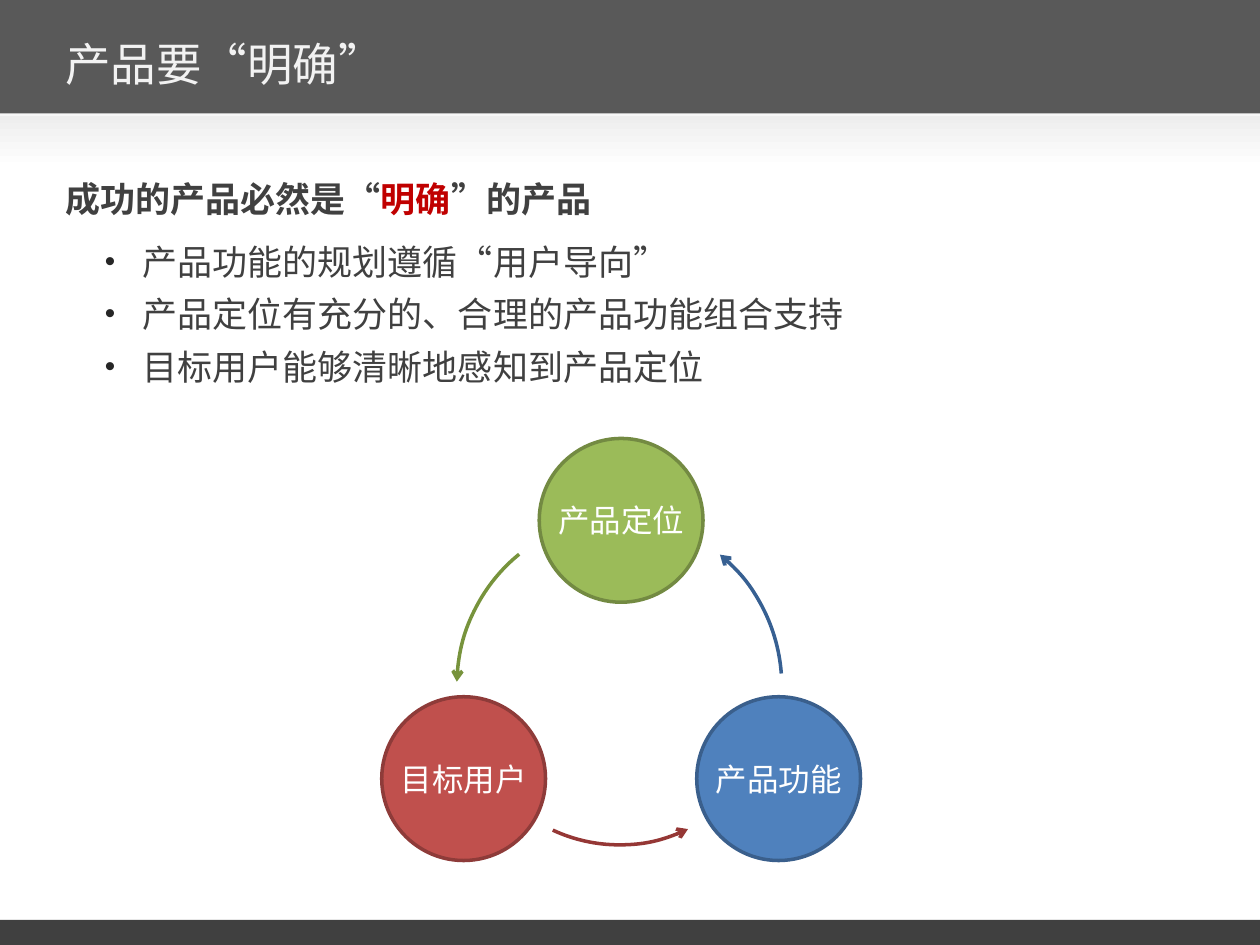
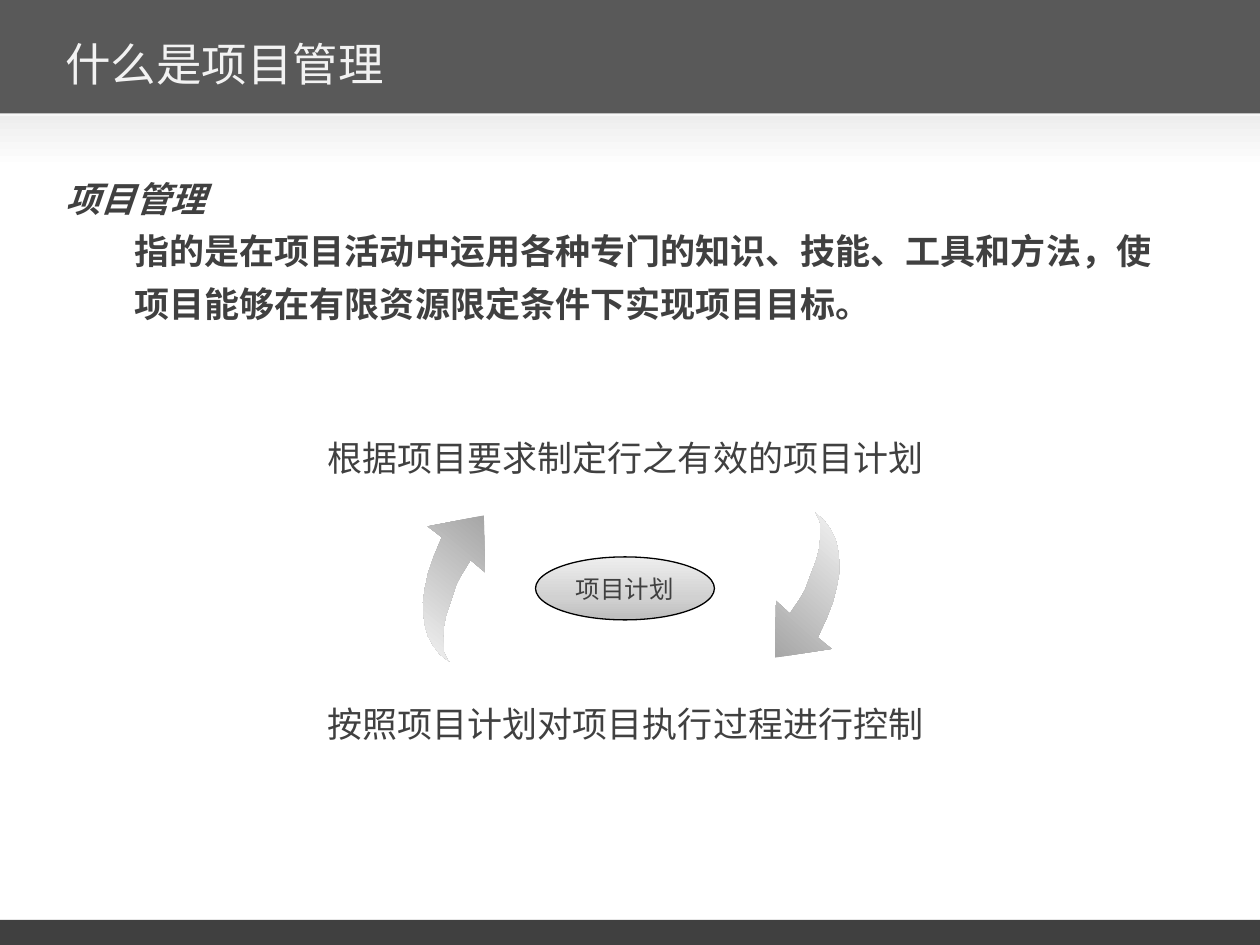
from copy import deepcopy
from dataclasses import dataclass
from math import cos, radians, sin

from lxml import etree
from pptx import Presentation
from pptx.dml.color import RGBColor
from pptx.enum.shapes import MSO_SHAPE
from pptx.enum.text import MSO_ANCHOR, PP_ALIGN
from pptx.oxml.ns import qn
from pptx.util import Pt

RECTANGLE, OVAL, ARC = MSO_SHAPE.RECTANGLE, MSO_SHAPE.OVAL, MSO_SHAPE.ARC
TOP, MIDDLE = MSO_ANCHOR.TOP, MSO_ANCHOR.MIDDLE
CENTER = PP_ALIGN.CENTER

TITLE_FONT = "DejaVu Sans Mono"
BODY_FONT = "Noto Sans CJK SC"

WHITE = RGBColor(0xFF, 0xFF, 0xFF)
BLACK = RGBColor(0x00, 0x00, 0x00)
EDGE_GRAY = RGBColor(0xF7, 0xF7, 0xF7)
BAND_GRAY = RGBColor(0x59, 0x59, 0x59)
DARK_GRAY = RGBColor(0x40, 0x40, 0x40)
TITLE_GRAY = RGBColor(0xF2, 0xF2, 0xF2)
SHADE_GRAY = RGBColor(0xEE, 0xEE, 0xEE)
OVAL_DARK = RGBColor(0xBD, 0xBD, 0xBD)
OVAL_MID = RGBColor(0xD1, 0xD1, 0xD1)
ARROW_DARK = RGBColor(0xA6, 0xA6, 0xA6)
RED = RGBColor(0xC0, 0x00, 0x00)
BULLET_COLOR = "262626"

SLIDE_W, SLIDE_H = 720, 540
CIRCLE_SIZE = 93.6
ARC_W, ARC_H = 192.24, 185.76


@dataclass
class Box:
    left: float
    top: float
    width: float
    height: float

    def emu(self) -> tuple:
        return Pt(self.left), Pt(self.top), Pt(self.width), Pt(self.height)


@dataclass
class Line:
    pieces: list
    bold: bool = False
    italic: bool = False
    indent: float = 0
    bullet: bool = False
    space_after: float = 0


@dataclass
class Circle:
    text: str
    left: float
    top: float
    fill: RGBColor
    line: RGBColor


@dataclass
class CycleArc:
    top: float
    start: float
    end: float
    color: RGBColor


@dataclass
class CurvedArrow:
    x: float
    y: float
    turn: float
    gradient_angle: float


CIRCLES = [
    Circle("产品功能", 398.16, 398.16, RGBColor(0x4F, 0x81, 0xBD), RGBColor(0x3A, 0x5F, 0x8C)),
    Circle("目标用户", 218.16, 398.16, RGBColor(0xC0, 0x50, 0x4D), RGBColor(0x8E, 0x3B, 0x39)),
    Circle("产品定位", 308.16, 250.56, RGBColor(0x9B, 0xBB, 0x59), RGBColor(0x73, 0x8A, 0x42)),
]
ARCS = [
    CycleArc(299.52, 163.07, 193.75, RGBColor(0x77, 0x93, 0x3C)),
    CycleArc(299.52, 22.39, 51.2, RGBColor(0x37, 0x60, 0x92)),
    CycleArc(293.76, 93.44, 122.06, RGBColor(0x95, 0x37, 0x35)),
]
CLEAR_LINES = [
    Line([("成功的产品必然是“", None), ("明确", RED), ("”的产品", None)], bold=True, space_after=6),
    Line([(" 产品功能的规划遵循“用户导向”", None)], indent=39.6, bullet=True),
    Line([(" 产品定位有充分的、合理的产品功能组合支持", None)], indent=39.6, bullet=True),
    Line([(" 目标用户能够清晰地感知到产品定位", None)], indent=39.6, bullet=True),
]
DEFINITION_LINES = [
    Line([("项目管理", None)], bold=True, italic=True),
    Line([("指的是在项目活动中运用各种专门的知识、技能、工具和方法，"
           "使项目能够在有限资源限定条件下实现项目目标。", None)], bold=True, indent=39.6),
]
STEPS = [("根据项目要求制定行之有效的项目计划", 238.32), ("按照项目计划对项目执行过程进行控制", 390.24)]
CURVED_ARROWS = [CurvedArrow(462.2, 341.3, 0, 48.6), CurvedArrow(258.5, 329.8, 177.8, 230.8)]
ARROW_OUTLINE = [
    (3.6, -48.3), (8.7, -43.9), (12.3, -38.9), (15.2, -33.1), (16.6, -27.4), (17.3, -20.9),
    (17.3, -13.7), (15.9, -5.8), (13.7, 2.9), (10.1, 12.2), (5.1, 23), (13, 29.5),
    (-19.4, 34.5), (-18.7, 2.1), (-10.8, 9.3), (-7.9, 5), (-5, 0.7), (-2.1, -4.3),
    (0, -10.1), (2.2, -15.9), (4.4, -21.6), (5.8, -27.4), (6.5, -33.1), (6.5, -38.2),
    (6.5, -42.5), (5.1, -46.1),
]


def fill_gradient(sp, stops: list, angle: float) -> None:
    sp.fill.gradient()
    sp.fill.gradient_angle = angle
    stop_list = sp._element.spPr.find(qn("a:gradFill")).find(qn("a:gsLst"))
    while len(stop_list) < len(stops):
        stop_list.append(deepcopy(stop_list[0]))
    for stop, (position, color) in zip(sp.fill.gradient_stops, stops):
        stop.position = position
        stop.color.rgb = color


def add_preset(slide, kind, box: Box, fill: RGBColor | None = None,
               line: RGBColor | None = None, weight: float = 2):
    sp = slide.shapes.add_shape(kind, *box.emu())
    sp.shadow.inherit = False
    if fill is None:
        sp.fill.background()
    else:
        sp.fill.solid()
        sp.fill.fore_color.rgb = fill
    if line is None:
        sp.line.fill.background()
    else:
        sp.line.color.rgb = line
        sp.line.width = Pt(weight)
    return sp


def set_font(p, size: float, color: RGBColor, name: str = BODY_FONT) -> None:
    p.font.size = Pt(size)
    p.font.name = name
    p.font.color.rgb = color
    properties = p._p.pPr.find(qn("a:defRPr"))
    etree.SubElement(properties, qn("a:ea"), typeface=BODY_FONT)


def add_bullet(p) -> None:
    properties = p._p.get_or_add_pPr()
    color = etree.SubElement(properties, qn("a:buClr"))
    etree.SubElement(color, qn("a:srgbClr"), val=BULLET_COLOR)
    etree.SubElement(properties, qn("a:buSzPct"), val="85000")
    etree.SubElement(properties, qn("a:buFont"), typeface="Arial")
    etree.SubElement(properties, qn("a:buChar"), char="•")


def add_text(slide, box: Box, lines: list[Line]) -> None:
    tf = slide.shapes.add_textbox(*box.emu()).text_frame
    tf.word_wrap = True
    tf.vertical_anchor = TOP
    tf.margin_top = Pt(5.25)
    for i, line in enumerate(lines):
        p = tf.paragraphs[0] if i == 0 else tf.add_paragraph()
        p.line_spacing = Pt(30)
        p.space_after = Pt(line.space_after)
        if line.indent:
            p._p.get_or_add_pPr().set("marL", str(Pt(line.indent)))
        if line.bullet:
            add_bullet(p)
        set_font(p, 20, DARK_GRAY)
        p.font.bold = line.bold
        p.font.italic = line.italic
        for text, color in line.pieces:
            r = p.add_run()
            r.text = text
            if color is not None:
                r.font.color.rgb = color


def label_shape(sp, text: str, size: float, color: RGBColor) -> None:
    tf = sp.text_frame
    tf.word_wrap = False
    tf.vertical_anchor = MIDDLE
    p = tf.paragraphs[0]
    p.text = text
    p.alignment = CENTER
    set_font(p, size, color)


def add_circle(slide, circle: Circle) -> None:
    box = Box(circle.left, circle.top, CIRCLE_SIZE, CIRCLE_SIZE)
    label_shape(add_preset(slide, OVAL, box, circle.fill, circle.line), circle.text, 18, WHITE)


def add_cycle_arc(slide, arc: CycleArc) -> None:
    sp = add_preset(slide, ARC, Box(257.76, arc.top, ARC_W, ARC_H), line=arc.color)
    sp.rotation = 270
    sp.adjustments[0] = arc.start
    sp.adjustments[1] = arc.end
    outline = sp._element.spPr.find(qn("a:ln"))
    etree.SubElement(outline, qn("a:headEnd"), type="arrow")


def add_curved_arrow(slide, arrow: CurvedArrow) -> None:
    c, s = cos(radians(arrow.turn)), sin(radians(arrow.turn))
    points = [(Pt(arrow.x + x * c - y * s), Pt(arrow.y + x * s + y * c)) for x, y in ARROW_OUTLINE]
    builder = slide.shapes.build_freeform(*points[0], scale=1.0)
    builder.add_line_segments(points[1:], close=True)
    sp = builder.convert_to_shape()
    sp.shadow.inherit = False
    sp.line.fill.background()
    fill_gradient(sp, [(0, ARROW_DARK), (1, TITLE_GRAY)], arrow.gradient_angle)


def add_framed_slide(prs, title: str):
    slide = prs.slides.add_slide(prs.slide_layouts[6])
    add_preset(slide, RECTANGLE, Box(0, 0, SLIDE_W, 72), EDGE_GRAY)
    add_preset(slide, RECTANGLE, Box(0, 525.6, SLIDE_W, 14.4), DARK_GRAY)
    add_preset(slide, RECTANGLE, Box(0, 0, SLIDE_W, 64.8), BAND_GRAY)
    shade = add_preset(slide, RECTANGLE, Box(0, 66.24, SLIDE_W, 30.24))
    fill_gradient(shade, [(0, SHADE_GRAY), (1, WHITE)], 270)
    tf = slide.shapes.add_textbox(*Box(30.24, 12.24, 581.76, 48.24).emu()).text_frame
    tf.word_wrap = True
    tf.vertical_anchor = MIDDLE
    p = tf.paragraphs[0]
    p.text = title
    set_font(p, 26, TITLE_GRAY, TITLE_FONT)
    return slide


def build_clear_product(prs) -> None:
    slide = add_framed_slide(prs, "产品要“明确”")
    for arc in ARCS:
        add_cycle_arc(slide, arc)
    for circle in CIRCLES:
        add_circle(slide, circle)
    add_text(slide, Box(30.24, 90, 660.24, 138.24), CLEAR_LINES)


def build_project_management(prs) -> None:
    slide = add_framed_slide(prs, "什么是项目管理")
    add_text(slide, Box(30.24, 90, 648, 102.24), DEFINITION_LINES)
    plan = add_preset(slide, OVAL, Box(306, 318.24, 102.24, 36), line=BLACK, weight=0.75)
    fill_gradient(plan, [(0, OVAL_DARK), (0.35, OVAL_MID), (1, SHADE_GRAY)], 90)
    label_shape(plan, "项目计划", 14, DARK_GRAY)
    for text, top in STEPS:
        add_text(slide, Box(180, top, 378, 37), [Line([(text, None)])])
    for arrow in CURVED_ARROWS:
        add_curved_arrow(slide, arrow)


def main() -> None:
    prs = Presentation()
    prs.slide_width, prs.slide_height = Pt(SLIDE_W), Pt(SLIDE_H)
    build_clear_product(prs)
    build_project_management(prs)
    prs.save("out.pptx")


if __name__ == "__main__":
    main()
